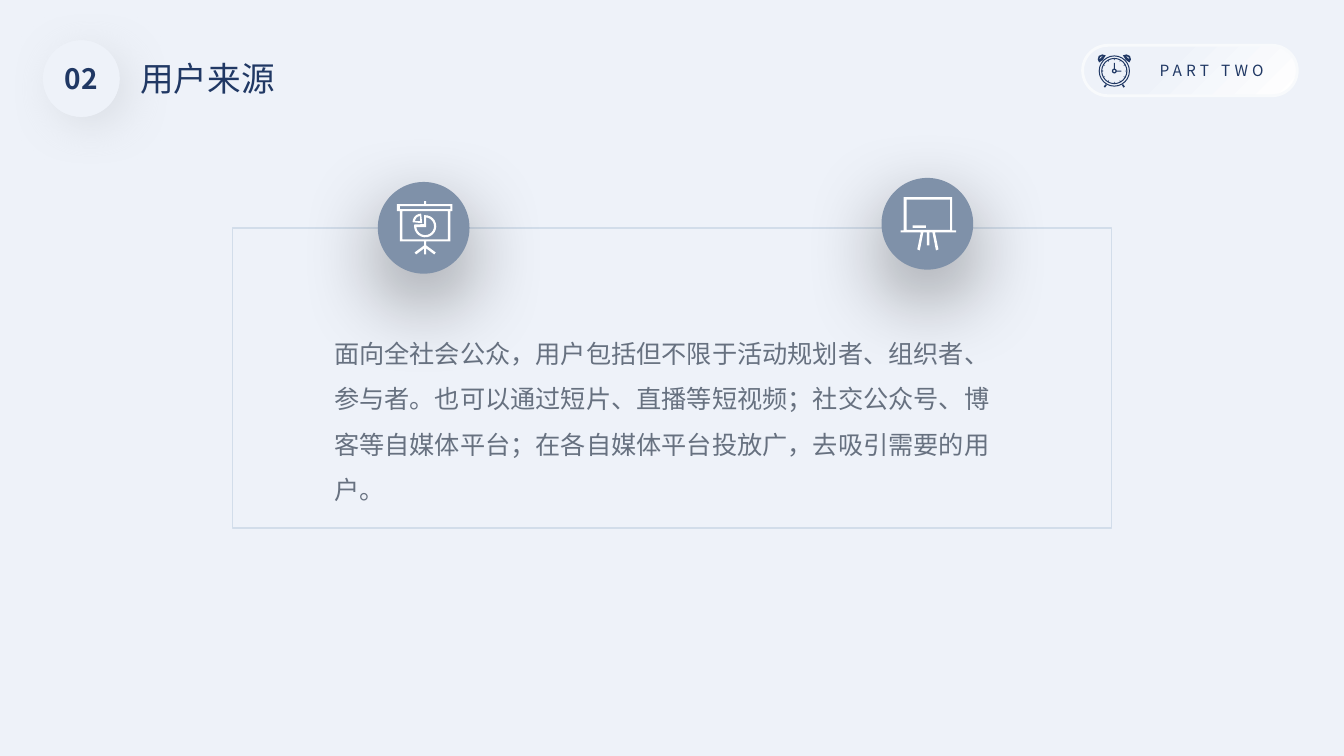
import math

from lxml import etree
from pptx import Presentation
from pptx import util as u
from pptx.dml.color import RGBColor
from pptx.enum import shapes, text
from pptx.oxml.ns import qn

FONT = "Noto Sans CJK SC"
NAVY, SLATE, GREY = "203864", "7F91A9", "677180"
BACKDROP, PAPER, WHITE, BORDER = "EBECEE", "EEF2F9", "FFFFFF", "D2DDEA"
KIND = shapes.MSO_SHAPE
WIDTH, HEIGHT, BADGE = 133.33, 75, 9.1


def grid(cells):
    """Length of a number of grid cells, each a tenth of an inch."""
    return u.Inches(cells / 10)


def colour(value):
    return RGBColor.from_string(value)


def style(shape, fill=None, line=None, width=1):
    shape.shadow.inherit = False
    if fill:
        shape.fill.solid()
        shape.fill.fore_color.rgb = colour(fill)
    else:
        shape.fill.background()
    if line:
        shape.line.color.rgb = colour(line)
        shape.line.width = u.Pt(width)
    else:
        shape.line.fill.background()
    return shape


def add_preset(target, kind, place, **look):
    return style(target.add_shape(kind, *map(grid, place)), **look)


def add_shadow(shape, value, alpha, blur, distance, angle):
    effects = shape._element.spPr.find(qn("a:effectLst"))
    shadow = etree.SubElement(
        effects, qn("a:outerShdw"), blurRad=str(u.Pt(blur)), dist=str(u.Pt(distance)),
        dir=str(angle * 60000), algn="ctr", rotWithShape="0")
    tint = etree.SubElement(shadow, qn("a:srgbClr"), val=value)
    etree.SubElement(tint, qn("a:alpha"), val=str(alpha * 1000))


def add_text(target, place, words, size, ink, align="LEFT", bold=False, wrap=True,
             insets=(1, 0.5), spacing=None, before=0, tracking=0):
    box = target.add_textbox(*map(grid, place))
    frame = box.text_frame
    frame.word_wrap = wrap
    frame.margin_left = frame.margin_right = grid(insets[0])
    frame.margin_top = frame.margin_bottom = grid(insets[1])
    para = frame.paragraphs[0]
    para.alignment = getattr(text.PP_ALIGN, align)
    para.line_spacing = spacing
    para.space_before = u.Pt(before)
    span = para.add_run()
    span.text = words
    span.font.size = u.Pt(size)
    span.font.name = FONT
    span.font.bold = bold
    span.font.color.rgb = colour(ink)
    properties = span.font._element
    if tracking:
        properties.set("spc", str(tracking * 100))
    etree.SubElement(properties, qn("a:ea"), typeface=FONT)


def add_icon(target, x, y, contours, fill):
    """One filled outline; a contour inside another cuts a hole."""
    builder = None
    for contour in contours:
        first, *rest = [(grid(x + dx), grid(y + dy)) for dx, dy in contour]
        if builder:
            builder.move_to(*first)
        else:
            builder = target.build_freeform(*first)
        builder.add_line_segments(rest, close=True)
    style(builder.convert_to_shape(), fill=fill)


def block(left, top, right, bottom):
    return [(left, top), (right, top), (right, bottom), (left, bottom)]


def arc(x, y, radius, start, end, steps):
    angles = [math.radians(start + (end - start) * i / steps) for i in range(steps + 1)]
    return [(x + radius * math.cos(a), y + radius * math.sin(a)) for a in angles]


def ring(outer, inner, steps):
    return [arc(0, 0, radius, 0, 360, steps)[:-1] for radius in (outer, inner)]


def mirror(contour, axis=0):
    return [(2 * axis - dx, dy) for dx, dy in contour]


def clock_contours():
    bell = [(1.15, -1.1), (1.5, -0.85), (1.65, -1.15), (1.55, -1.5), (1.2, -1.65), (0.85, -1.55)]
    bell_hole = [(1.1, -1.5), (1.4, -1.4), (1.55, -1.1)]
    foot = [(0.75, 1.4), (0.9, 1.33), (1.05, 1.55), (0.92, 1.65)]
    contours = ring(1.55, 1.45, 24) + ring(1.3, 1.2, 24) + ring(0.25, 0.12, 8)
    contours += [block(-0.05, -0.8, 0.05, -0.25), block(0.25, -0.05, 0.7, 0.05)]
    for angle in range(0, 360, 30):
        contours.append([arc(0, 0, radius, angle + turn, angle + turn, 1)[0]
                         for radius, turn in ((1.2, -2), (1.2, 2), (1.05, 0))])
    for part in (bell, bell_hole, foot):
        contours += [part, mirror(part)]
    return contours


def chart_screen_contours():
    leg = [(2.7, 4.4), (1.75, 5.1), (1.9, 5.3), (2.7, 4.7)]
    return [
        block(0, 0.3, 5.5, 1), block(0.3, 0.5, 5.3, 0.8),
        block(0.3, 1, 5.3, 4), block(0.55, 1, 5.05, 3.8),
        block(2.7, 0, 2.9, 0.3), block(2.7, 4, 2.9, 5.3), leg, mirror(leg, 2.8),
        [(2.7, 2.3)] + arc(2.8, 2.5, 1.1, -95, 190, 18),
        [(2.9, 2.6)] + arc(2.8, 2.5, 0.88, -84, 174, 18),
        [(2.5, 2.2)] + arc(2.4, 2.1, 0.85, 180, 270, 6),
        [(2.3, 2)] + arc(2.3, 2, 0.5, 180, 270, 6),
    ]


def blackboard_contours():
    stand = [(0.3, 0), (5.1, 0), (5.1, 3.3), (5.5, 3.3), (5.5, 3.5), (3.4, 3.5), (3.75, 5.2),
             (3.5, 5.3), (3.15, 3.5), (2.85, 3.5), (2.85, 4.8), (2.6, 4.8), (2.6, 3.5),
             (2.25, 3.5), (1.9, 5.3), (1.65, 5.2), (2, 3.5), (0, 3.5), (0, 3.3), (0.3, 3.3)]
    return [stand, block(0.6, 0.25, 4.9, 3.25), block(1.2, 2.8, 2.5, 3.05)]


def add_badge(page, left, top, contours):
    """Shadowed disc with a white icon."""
    badge = page.shapes.add_group_shape().shapes
    disc = add_preset(badge, KIND.OVAL, (left, top, BADGE, BADGE), fill=SLATE)
    add_shadow(disc, "000000", 40, 60, 20, 90)
    add_icon(badge, left + 1.9, top + 1.9, contours, WHITE)


def add_part_label(page):
    pill = add_preset(page.shapes, KIND.ROUNDED_RECTANGLE, (107.4, 4.5, 21.3, 5),
                      line="F8FAFC", width=2)
    pill.adjustments[0] = 0.5
    pill.fill.gradient()
    pill.fill.gradient_angle = 315
    for stop, (position, tint) in zip(pill.fill.gradient_stops, ((0.35, PAPER), (1, WHITE))):
        stop.position = position
        stop.color.rgb = colour(tint)
    add_icon(page.shapes, 110.55, 7.05, clock_contours(), NAVY)
    add_text(page.shapes, (112.25, 5.6, 15.9, 2.9), "PART TWO", 11, NAVY, "CENTER", tracking=3)


def add_heading(page):
    number = page.shapes.add_group_shape().shapes
    base, _ = [add_preset(number, KIND.OVAL, (4.27, 4, 7.6, 7.6), fill=PAPER) for _ in range(2)]
    add_shadow(base, "CACED4", 50, 30, 10, 45)
    add_text(number, (6.3, 5.6, 3.5, 4.4), "02", 20, NAVY, "CENTER", bold=True,
             wrap=False, insets=(0, 0.5))
    add_text(page.shapes, (12.95, 5.3, 38.4, 5), "用户来源", 24, NAVY)


def main():
    deck = Presentation()
    deck.slide_width, deck.slide_height = grid(WIDTH), grid(HEIGHT)
    page = deck.slides.add_slide(deck.slide_layouts[6])
    page.background.fill.solid()
    page.background.fill.fore_color.rgb = colour(BACKDROP)
    add_preset(page.shapes, KIND.RECTANGLE, (0, 0, WIDTH, HEIGHT), fill=PAPER)

    add_part_label(page)
    add_heading(page)
    add_preset(page.shapes, KIND.RECTANGLE, (23.07, 22.62, 87.2, 29.75), line=BORDER)
    add_badge(page, 37.48, 18.05, chart_screen_contours())
    add_badge(page, 87.45, 17.65, blackboard_contours())
    add_text(page.shapes, (33.15, 32.07, 67, 17.6),
             "面向全社会公众，用户包括但不限于活动规划者、组织者、参与者。"
             "也可以通过短片、直播等短视频；社交公众号、博客等自媒体平台；"
             "在各自媒体平台投放广，去吸引需要的用户。",
             18, GREY, insets=(0, 0), spacing=1.5, before=7.5)
    deck.save("out.pptx")


if __name__ == "__main__":
    main()
